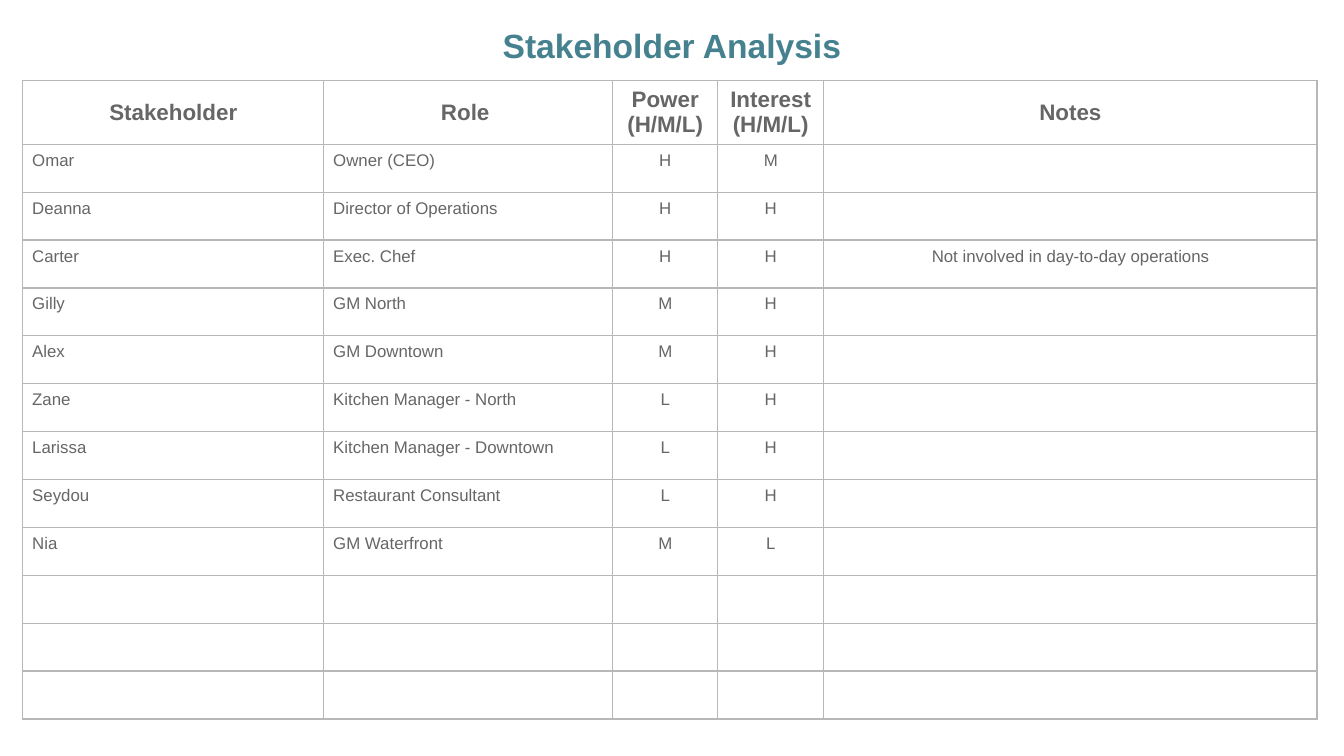
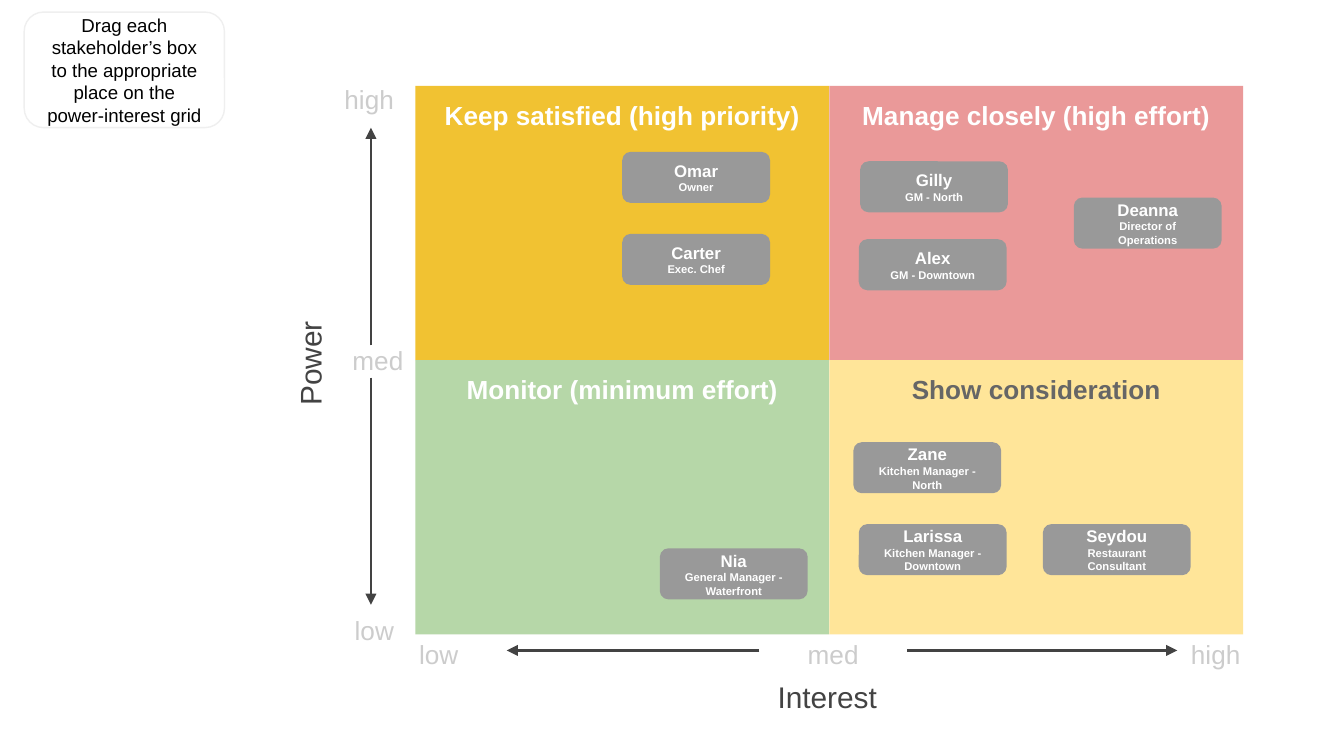
import dataclasses
import typing

import lxml.etree
import pptx
import pptx.dml.color
import pptx.enum.shapes
import pptx.enum.text
import pptx.oxml.ns
import pptx.util

PX = 9144  # EMU in one px, 100 px to the inch
FONT = "Arial"
WHITE, BLACK = "FFFFFF", "000000"
TITLE, BODY, AXIS, SCALE = "45818E", "666666", "434343", "CCCCCC"
CARD, BORDER, HINT_LINE = "999999", "B7B7B7", "EFEFEF"

LEFT = pptx.enum.text.PP_ALIGN.LEFT
CENTER = pptx.enum.text.PP_ALIGN.CENTER
RIGHT = pptx.enum.text.PP_ALIGN.RIGHT
TOP = pptx.enum.text.MSO_ANCHOR.TOP
MIDDLE = pptx.enum.text.MSO_ANCHOR.MIDDLE
RECT = pptx.enum.shapes.MSO_SHAPE.RECTANGLE
ROUND = pptx.enum.shapes.MSO_SHAPE.ROUNDED_RECTANGLE


@dataclasses.dataclass(frozen=True)
class Area:
    left: int
    top: int
    width: int
    height: int

    def emu(self) -> list[int]:
        return [px(n) for n in dataclasses.astuple(self)]


@dataclasses.dataclass(frozen=True)
class Quadrant:
    column: int
    row: int
    title: str
    fill: str
    ink: str = WHITE


@dataclasses.dataclass(frozen=True)
class Label:
    area: Area
    text: str
    size: int = 14
    ink: str = SCALE
    align: typing.Any = CENTER
    anchor: typing.Any = TOP
    rotation: int = 0
    grow: bool = False


@dataclasses.dataclass(frozen=True)
class Card:
    left: int
    top: int
    name: str
    role: str


@dataclasses.dataclass(frozen=True)
class Arrow:
    x1: int
    y1: int
    x2: int
    y2: int


COLUMNS = [224, 215, 78, 79, 367]
HEADER_HEIGHT, BODY_HEIGHT, EMPTY_ROWS = 28, 428, 3
HEADINGS = ["Stakeholder", "Role ", "Power (H/M/L)", "Interest (H/M/L)", "Notes"]
STAKEHOLDERS = [
    ["Omar", "Owner (CEO)", "H", "M", ""],
    ["Deanna", "Director of Operations", "H", "H", ""],
    ["Carter", "Exec. Chef", "H", "H", "Not involved in day-to-day operations"],
    ["Gilly", "GM North", "M", "H", ""],
    ["Alex", "GM Downtown", "M", "H", ""],
    ["Zane", "Kitchen Manager - North", "L", "H", ""],
    ["Larissa", "Kitchen Manager - Downtown", "L", "H", ""],
    ["Seydou", "Restaurant Consultant", "L", "H", ""],
    ["Nia", "GM Waterfront", "M", "L", ""],
]

GRID = Area(309, 64, 308, 204)  # the first quadrant; the others repeat its size
QUADRANTS = [
    Quadrant(0, 0, "Keep satisfied (high priority)", "F1C232"),
    Quadrant(1, 0, "Manage closely (high effort)", "EA9999"),
    Quadrant(0, 1, "Monitor (minimum effort)", "B6D7A8"),
    Quadrant(1, 1, "Show consideration", "FFE599", BODY),
]
LABELS = [
    Label(Area(139, 253, 183, 35), "Power", 16, AXIS, anchor=MIDDLE, rotation=270),
    Label(Area(170, 52, 133, 26), "high", align=RIGHT),
    Label(Area(242, 246, 68, 44), "med", align=RIGHT, grow=True),
    Label(Area(170, 447, 133, 26), "low", align=RIGHT),
    Label(Area(276, 465, 101, 38), "low"),
    Label(Area(565, 465, 110, 38), "med"),
    Label(Area(854, 465, 101, 38), "high"),
    Label(Area(541, 495, 149, 47), "Interest", 16, AXIS, grow=True),
]
ARROWS = [
    Arrow(276, 257, 276, 95),
    Arrow(276, 281, 276, 450),
    Arrow(675, 484, 876, 484),
    Arrow(565, 484, 377, 484),
]
CARD_WIDTH, CARD_HEIGHT = 110, 38
CARDS = [
    Card(463, 113, "Omar", "Owner"),
    Card(799, 147, "Deanna", "Director of Operations"),
    Card(463, 174, "Carter", "Exec. Chef"),
    Card(640, 120, "Gilly", "GM - North"),
    Card(639, 178, "Alex", "GM - Downtown"),
    Card(635, 329, "Zane", "Kitchen Manager - North"),
    Card(639, 390, "Larissa", "Kitchen Manager - Downtown"),
    Card(776, 390, "Seydou", "Restaurant Consultant"),
    Card(491, 408, "Nia", "General Manager - Waterfront"),
]


def px(length: int) -> pptx.util.Emu:
    return pptx.util.Emu(length * PX)


def colour(value: str) -> pptx.dml.color.RGBColor:
    return pptx.dml.color.RGBColor.from_string(value)


def write(frame, text: str, *, size: int, ink: str, bold: bool = False,
          align=CENTER, spacing: float | None = None) -> None:
    """Fill the frame's first paragraph, or add one if it is taken."""
    para = frame.paragraphs[0] if not frame.text else frame.add_paragraph()
    para.alignment = align
    para.line_spacing = spacing
    if not text:
        para._p.get_or_add_endParaRPr().set("sz", str(size * 100))
        return
    span = para.add_run()
    span.text = text
    span.font.name = FONT
    span.font.size = pptx.util.Pt(size)
    span.font.bold = bold
    span.font.color.rgb = colour(ink)


def prepare(frame, anchor=TOP) -> typing.Any:
    """Set wrapping, insets and anchor of a text frame."""
    frame.word_wrap = True
    frame.vertical_anchor = anchor
    frame.margin_left = frame.margin_right = px(10)
    frame.margin_top = frame.margin_bottom = px(10)
    return frame


def add_box(page, kind, area: Area, *, fill: str | None = None,
            line: str | None = None, anchor=TOP) -> typing.Any:
    """Draw a shape and return its text frame."""
    box = page.shapes.add_shape(kind, *area.emu())
    box.shadow.inherit = False
    if fill:
        box.fill.solid()
        box.fill.fore_color.rgb = colour(fill)
    else:
        box.fill.background()
    if line:
        box.line.color.rgb = colour(line)
        box.line.width = pptx.util.Pt(0.75)
    else:
        box.line.fill.background()
    return prepare(box.text_frame, anchor)


def add_label(page, label: Label) -> None:
    box = page.shapes.add_textbox(*label.area.emu())
    box.rotation = label.rotation
    frame = prepare(box.text_frame, label.anchor)
    if label.grow:
        frame.auto_size = pptx.enum.text.MSO_AUTO_SIZE.SHAPE_TO_FIT_TEXT
    write(frame, label.text, size=label.size, ink=label.ink, align=label.align)


def add_arrow(page, arrow: Arrow) -> None:
    ends = [px(n) for n in dataclasses.astuple(arrow)]
    line = page.shapes.add_connector(pptx.enum.shapes.MSO_CONNECTOR.STRAIGHT, *ends)
    line.line.color.rgb = colour(AXIS)
    line.line.width = pptx.util.Pt(1.5)
    qn = pptx.oxml.ns.qn
    lxml.etree.SubElement(line.line._get_or_add_ln(), qn("a:tailEnd"), type="triangle")
    lxml.etree.SubElement(line._element.spPr, qn("a:effectLst"))


def add_card(page, card: Card) -> None:
    area = Area(card.left, card.top, CARD_WIDTH, CARD_HEIGHT)
    frame = add_box(page, ROUND, area, fill=CARD, anchor=MIDDLE)
    write(frame, card.name, size=9, ink=WHITE, bold=True)
    write(frame, card.role, size=6, ink=WHITE, bold=True)


def style_cell(cell, anchor) -> None:
    qn = pptx.oxml.ns.qn
    properties = cell._tc.get_or_add_tcPr()
    for side in ("lnL", "lnR", "lnT", "lnB"):
        edge = lxml.etree.SubElement(properties, qn(f"a:{side}"), w=str(pptx.util.Pt(0.75)))
        fill = lxml.etree.SubElement(edge, qn("a:solidFill"))
        lxml.etree.SubElement(fill, qn("a:srgbClr"), val=BORDER)
    cell.fill.background()
    cell.vertical_anchor = anchor
    cell.margin_left = cell.margin_right = px(7)
    cell.margin_top = cell.margin_bottom = px(5)


def add_stakeholder_table(page) -> None:
    rows = [HEADINGS, *STAKEHOLDERS, *[[""] * len(COLUMNS)] * EMPTY_ROWS]
    row_height = px(BODY_HEIGHT) // (len(rows) - 1)
    area = Area(17, 60, sum(COLUMNS), HEADER_HEIGHT + BODY_HEIGHT)
    table = page.shapes.add_table(len(rows), len(COLUMNS), *area.emu()).table
    table.first_row = table.horz_banding = False
    for column, width in zip(table.columns, COLUMNS):
        column.width = px(width)
    for r, texts in enumerate(rows):
        heading = r == 0
        table.rows[r].height = px(HEADER_HEIGHT) if heading else row_height
        for c, text in enumerate(texts):
            cell = table.cell(r, c)
            style_cell(cell, MIDDLE if heading else TOP)
            write(cell.text_frame, text, size=12 if heading else 9, ink=BODY,
                  bold=heading, align=CENTER if heading or c > 1 else LEFT)


def build_analysis(page) -> None:
    add_stakeholder_table(page)
    box = page.shapes.add_textbox(*Area(83, 4, 834, 50).emu())
    write(prepare(box.text_frame), "Stakeholder Analysis",
          size=18, ink=TITLE, bold=True, spacing=1.15)


def build_grid(page) -> None:
    for quadrant in QUADRANTS:
        area = Area(GRID.left + quadrant.column * GRID.width,
                    GRID.top + quadrant.row * GRID.height, GRID.width, GRID.height)
        frame = add_box(page, RECT, area, fill=quadrant.fill)
        write(frame, quadrant.title, size=14, ink=quadrant.ink, bold=True)
    for label in LABELS:
        add_label(page, label)
    for arrow in ARROWS:
        add_arrow(page, arrow)
    hint = add_box(page, ROUND, Area(18, 9, 149, 86), line=HINT_LINE, anchor=MIDDLE)
    write(hint, "Drag each stakeholder’s box to the appropriate place on the "
          "power-interest grid", size=10, ink=BLACK)
    for card in CARDS:
        add_card(page, card)


def main() -> None:
    deck = pptx.Presentation()
    deck.slide_width = px(1000)
    deck.slide_height = deck.slide_width * 9 // 16
    for build in (build_analysis, build_grid):
        build(deck.slides.add_slide(deck.slide_layouts[6]))
    deck.save("out.pptx")


if __name__ == "__main__":
    main()
